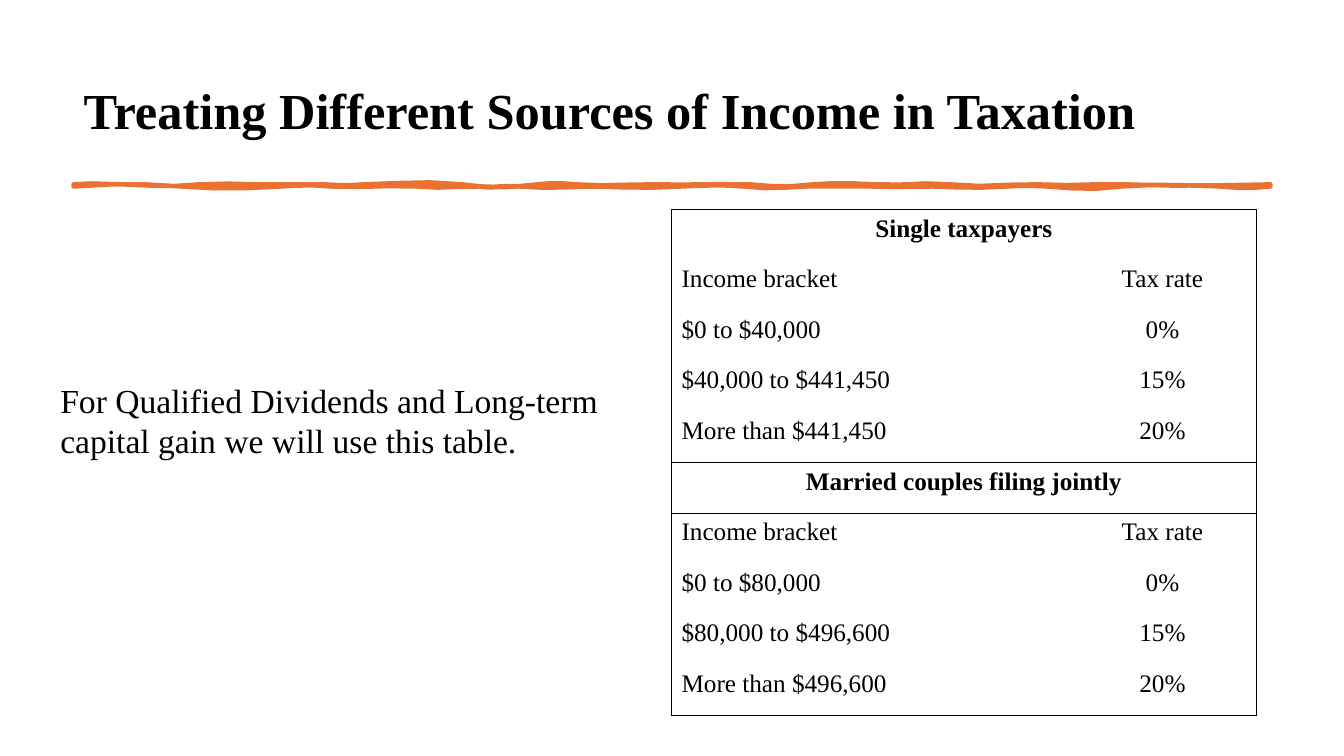
from lxml import etree
from pptx import Presentation
from pptx import util as u
from pptx.dml.color import RGBColor
from pptx.enum import text
from pptx.oxml.ns import qn

INK = {"text": "000000", "brush": "E97132"}
FONT = "Times New Roman"
ALIGN = text.PP_ALIGN


def write(frame, words, size=18, bold=False, align=ALIGN.LEFT, space=1.0):
    para = frame.paragraphs[0]
    para.alignment = align
    para.line_spacing = space
    run = para.add_run()
    run.text = words
    font = run.font
    font.name, font.size, font.bold = FONT, u.Pt(size), bold
    font.color.rgb = RGBColor.from_string(INK["text"])


def edge(cell, side, drawn):
    line = etree.SubElement(cell._tc.get_or_add_tcPr(), qn(f"a:ln{side}"), w=str(u.Pt(1)))
    if drawn:
        fill = etree.SubElement(line, qn("a:solidFill"))
        etree.SubElement(fill, qn("a:srgbClr"), val=INK["text"])
    else:
        etree.SubElement(line, qn("a:noFill"))


deck = Presentation()
deck.slide_width, deck.slide_height = u.Inches(13.33), u.Inches(7.5)
slide = deck.slides.add_slide(deck.slide_layouts[5])

title = slide.shapes.title
title.left, title.top = u.Inches(0.73), u.Inches(0.4)
title.width, title.height = u.Inches(11.87), u.Inches(1.45)
head = title.text_frame
head.word_wrap = True
head.auto_size = text.MSO_AUTO_SIZE.NONE
head.vertical_anchor = text.MSO_ANCHOR.MIDDLE
write(head, "Treating Different Sources of Income in Taxation", size=36, bold=True, space=0.9)

upper = [
    (1.24, -2, 0), (1.98, 1, 3), (2.84, -2, 1), (3.22, 0, 0),
    (3.61, 1, 1), (4.59, -1, -4), (5.33, 5, 3), (5.72, -2, -1),
    (6.46, 2, 0), (7.44, 1, -1), (8.06, 2, 3), (8.68, -2, -1),
    (9.43, 2, -3), (10.29, 4, -1), (11.15, 2, -1), (12.6, 2, 1),
]
lower = [
    (12.1, 2, 2), (11.12, -1, -3), (10.38, 4, 2), (9.99, -1, -1),
    (9.25, 2, 1), (8.63, 0, 1), (8, 0, 0), (7.38, 1, 3),
    (6.76, -2, -1), (5.9, 2, 1), (5.15, 0, 3), (4.77, -2, 2),
    (4.14, -1, 3), (3.28, -2, 2), (2.78, -2, -1), (1.8, 2, 3), (0.73, -3, -3),
]
steps, unit = 3, 1000
x = 0.73
dots = [(x * unit, 1.83 * unit)]
for base, waves in ((1.83, upper), (1.85, lower)):
    if waves is lower:
        dots.append((x * unit, base * unit))
    for end, a, b in waves:
        for i in range(1, steps + 1):
            t = i / steps
            bend = 3 * t * (1 - t) * (a * (1 - t) + b * t) / 100
            dots.append(((x + (end - x) * t) * unit, (base + bend) * unit))
        x = end
pen = slide.shapes.build_freeform(*dots[0], scale=u.Inches(1) / unit)
pen.add_line_segments(dots[1:], close=True)
brush = pen.convert_to_shape()
brush.shadow.inherit = False
brush.fill.solid()
brush.fill.fore_color.rgb = RGBColor.from_string(INK["brush"])
brush.line.color.rgb = RGBColor.from_string(INK["brush"])
brush.line.width = u.Pt(3.25)

rows = [
    ("Single taxpayers", ""),
    ("Income bracket", "Tax rate"),
    ("$0 to $40,000", "0%"),
    ("$40,000 to $441,450", "15%"),
    ("More than $441,450", "20%"),
    ("Married couples filing jointly", ""),
    ("Income bracket", "Tax rate"),
    ("$0 to $80,000", "0%"),
    ("$80,000 to $496,600", "15%"),
    ("More than $496,600", "20%"),
]
grid = slide.shapes.add_table(
    len(rows), 2, u.Inches(6.66), u.Inches(2.08), u.Inches(5.8), u.Inches(5.02)
).table
grid.first_row = grid.horz_banding = False
for col, wide in zip(grid.columns, (3.94, 1.86)):
    col.width = u.Inches(wide)
for r, pair in enumerate(rows):
    band = not pair[1]
    if band:
        grid.cell(r, 0).merge(grid.cell(r, 1))
    for c, words in enumerate(pair):
        cell = grid.cell(r, c)
        edge(cell, "L", c == 0)
        edge(cell, "R", c == 1 or band)
        edge(cell, "T", r in (0, 5, 6))
        edge(cell, "B", r in (4, 5, 9))
        cell.fill.background()
        if words:
            side = ALIGN.CENTER if band or c else ALIGN.LEFT
            write(cell.text_frame, words, bold=band, align=side)

note = slide.shapes.add_textbox(u.Inches(0.5), u.Inches(3.72), u.Inches(6.17), u.Inches(0.91))
note.text_frame.word_wrap = True
write(
    note.text_frame,
    "For Qualified Dividends and Long-term capital gain we will use this table.",
    size=24,
)

deck.save("out.pptx")
